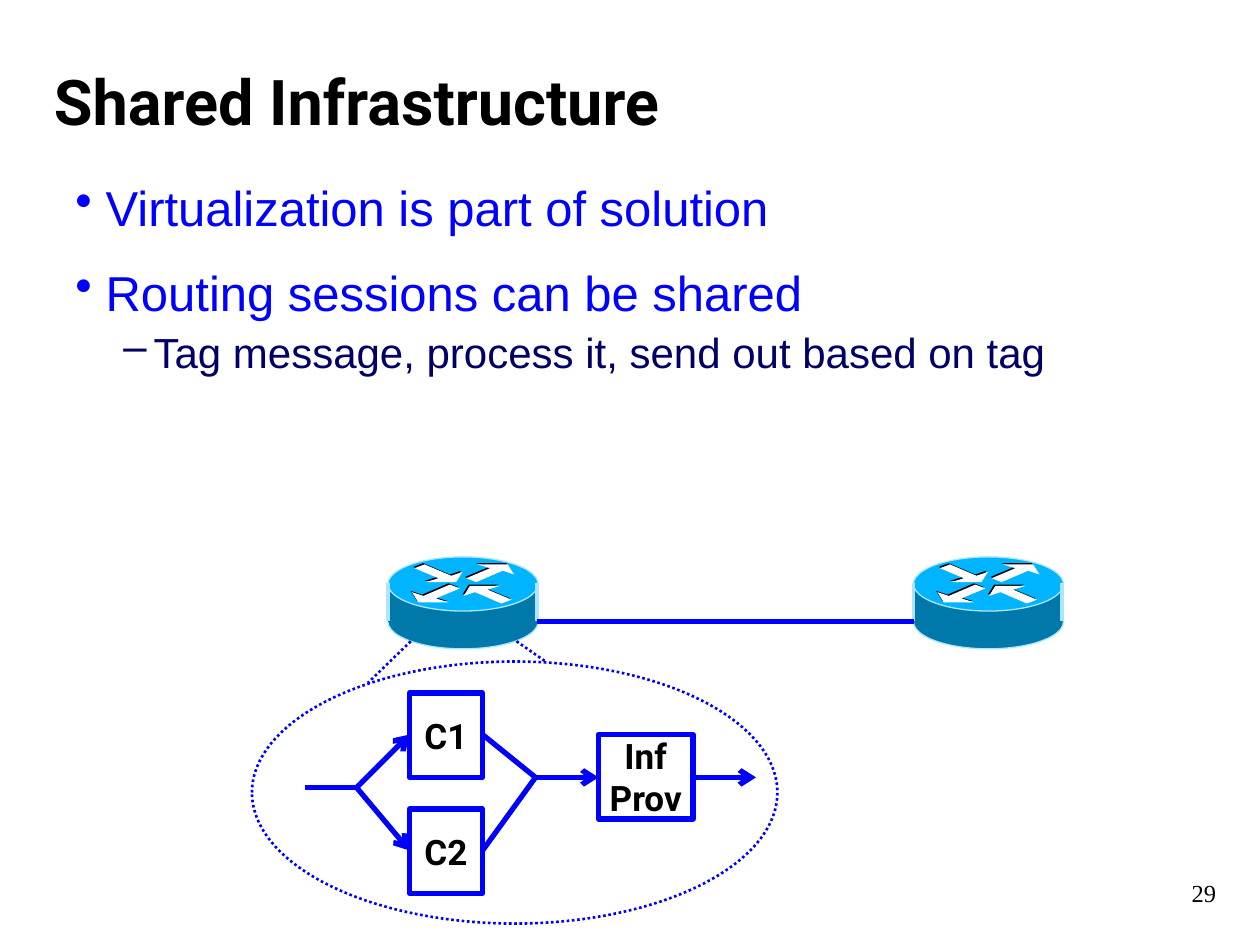
"""Build the Shared Infrastructure slide with its router diagram."""
from lxml.etree import SubElement
from pptx import Presentation
from pptx.dml.color import RGBColor
from pptx.enum.dml import MSO_LINE
from pptx.enum.shapes import MSO_CONNECTOR, MSO_SHAPE
from pptx.enum.text import MSO_ANCHOR, PP_ALIGN
from pptx.oxml.ns import qn
from pptx.util import Inches, Pt

COLORS = {
    "black": "000000",
    "white": "FFFFFF",
    "blue": "0000FF",
    "navy": "000066",
    "router_side": "0078AA",
    "router_top": "00B4FF",
    "router_edge": "AAE6FF",
}


def write_text(paragraph, text, size, font="Roboto", color="black", bold=False,
               align=PP_ALIGN.LEFT, bullet=None, indent=0, space=0):
    if bullet:
        properties = paragraph._p.get_or_add_pPr()
        properties.set("marL", str(Inches(indent)))
        properties.set("indent", str(Inches(-0.24)))
        SubElement(properties, qn("a:buChar")).set("char", bullet)
    paragraph.alignment = align
    paragraph.space_before = Pt(space)
    run = paragraph.add_run()
    run.text = text
    run.font.size = Pt(size)
    run.font.name = font
    run.font.bold = bold
    run.font.color.rgb = RGBColor.from_string(COLORS[color])


def add_line(shapes, start, end, color="blue", width=3, dash=None, arrow=False):
    points = [Inches(value) for value in (*start, *end)]
    connector = shapes.add_connector(MSO_CONNECTOR.STRAIGHT, *points)
    connector.line.color.rgb = RGBColor.from_string(COLORS[color])
    connector.line.width = Pt(width)
    if dash:
        connector.line.dash_style = dash
    if arrow:
        SubElement(connector.line._get_or_add_ln(), qn("a:tailEnd")).set("type", "arrow")
    SubElement(connector._element.spPr, qn("a:effectLst"))


presentation = Presentation()
presentation.slide_width = Inches(10)
presentation.slide_height = Inches(7.5)
slide = presentation.slides.add_slide(presentation.slide_layouts[6])
shapes = slide.shapes

title = shapes.add_textbox(Inches(0.33), Inches(0.42), Inches(8.82), Inches(0.75)).text_frame
title.word_wrap = True
title.vertical_anchor = MSO_ANCHOR.MIDDLE
write_text(title.paragraphs[0], "Shared Infrastructure", 36, bold=True)

body = shapes.add_textbox(Inches(0.5), Inches(1.33), Inches(9.25), Inches(6)).text_frame
body.word_wrap = True
body.margin_top = Inches(0.08)
bullets = [
    ("Virtualization is part of solution", 28, "blue", "•", 0.24, 0),
    ("Routing sessions can be shared", 28, "blue", "•", 0.24, 15),
    ("Tag message, process it, send out based on tag", 24, "navy", "–", 0.62, 3),
]
for index, (text, size, color, bullet, indent, space) in enumerate(bullets):
    paragraph = body.add_paragraph() if index else body.paragraphs[0]
    write_text(paragraph, text, size, "Arial", color,
               bullet=bullet, indent=indent, space=space)

ROUTER_TOP = 4.42
ARROW_WIDTH, ARROW_HEIGHT = 0.38, 0.14
ARROW = [(0, 0.11), (0.08, 0.14), (0.29, 0.05), (0.38, 0.08),
         (0.33, 0), (0.09, 0), (0.19, 0.03)]
ARROW_PLACES = [
    (0.62, 0.06, False, False),
    (0.19, 0.22, True, True),
    (0.21, 0.06, False, True),
    (0.6, 0.23, True, False),
]
ROUTER_PARTS = [
    (MSO_SHAPE.OVAL, 0.3, 1.19, 0.43, "router_side"),
    (MSO_SHAPE.RECTANGLE, 0.22, 1.18, 0.3, "router_side"),
    (MSO_SHAPE.OVAL, 0, 1.19, 0.43, "router_top"),
]
for router_left in (3.08, 7.25):
    router = shapes.add_group_shape().shapes
    for kind, offset, width, height, color in ROUTER_PARTS:
        part = router.add_shape(kind, Inches(router_left), Inches(ROUTER_TOP + offset),
                                Inches(width), Inches(height))
        part.shadow.inherit = False
        part.fill.solid()
        part.fill.fore_color.rgb = RGBColor.from_string(COLORS[color])
        if kind == MSO_SHAPE.OVAL:
            part.line.color.rgb = RGBColor.from_string(COLORS["router_edge"])
            part.line.width = Pt(0)
        else:
            part.line.fill.background()
    for color, shift in (("black", -0.01), ("white", 0)):
        for left, top, flip_x, flip_y in ARROW_PLACES:
            points = [
                (Inches(router_left + left + shift + (ARROW_WIDTH - x if flip_x else x)),
                 Inches(ROUTER_TOP + top + shift + (ARROW_HEIGHT - y if flip_y else y)))
                for x, y in ARROW
            ]
            builder = router.build_freeform(*points[0])
            builder.add_line_segments(points[1:], close=True)
            arrow = builder.convert_to_shape()
            arrow.shadow.inherit = False
            arrow.fill.solid()
            arrow.fill.fore_color.rgb = RGBColor.from_string(COLORS[color])
            arrow.line.fill.background()
    for x in (router_left, router_left + 1.18):
        add_line(router, (x, 4.63), (x, 4.93), "router_edge", 0)

boxes = [
    (3.25, 5.5, 0.58, ["C1"]),
    (3.25, 6.42, 0.58, ["C2"]),
    (4.75, 5.83, 0.75, ["Inf", "Prov"]),
]
for left, top, width, labels in boxes:
    box = shapes.add_shape(MSO_SHAPE.RECTANGLE, Inches(left), Inches(top),
                           Inches(width), Inches(0.67))
    box.shadow.inherit = False
    box.fill.background()
    box.line.color.rgb = RGBColor.from_string(COLORS["blue"])
    box.line.width = Pt(3)
    frame = box.text_frame
    frame.word_wrap = False
    frame.vertical_anchor = MSO_ANCHOR.MIDDLE
    for index, label in enumerate(labels):
        paragraph = frame.add_paragraph() if index else frame.paragraphs[0]
        write_text(paragraph, label, 20, bold=True, align=PP_ALIGN.CENTER)

split, merge = (2.83, 6.25), (4.25, 6.17)
for y in (5.83, 6.75):
    add_line(shapes, split, (3.25, y), arrow=True)
    add_line(shapes, (3.83, y), merge)
add_line(shapes, (2.42, 6.25), split)
add_line(shapes, merge, (4.75, 6.17), arrow=True)
add_line(shapes, (5.5, 6.17), (6, 6.17), arrow=True)
add_line(shapes, (4.26, 4.93), (7.25, 4.93))

for start, end in (((3.26, 5.09), (2.92, 5.42)), ((4.1, 5.09), (4.33, 5.25))):
    add_line(shapes, start, end, width=1.5, dash=MSO_LINE.ROUND_DOT)
detail = shapes.add_shape(MSO_SHAPE.OVAL, Inches(2), Inches(5.25), Inches(4.17), Inches(2.08))
detail.shadow.inherit = False
detail.fill.background()
detail.line.color.rgb = RGBColor.from_string(COLORS["blue"])
detail.line.width = Pt(1.5)
detail.line.dash_style = MSO_LINE.ROUND_DOT

number = shapes.add_textbox(Inches(8.75), Inches(6.92), Inches(1), Inches(0.42)).text_frame
number.word_wrap = True
write_text(number.paragraphs[0], "29", 14, "Times New Roman", align=PP_ALIGN.RIGHT)

presentation.save("out.pptx")
